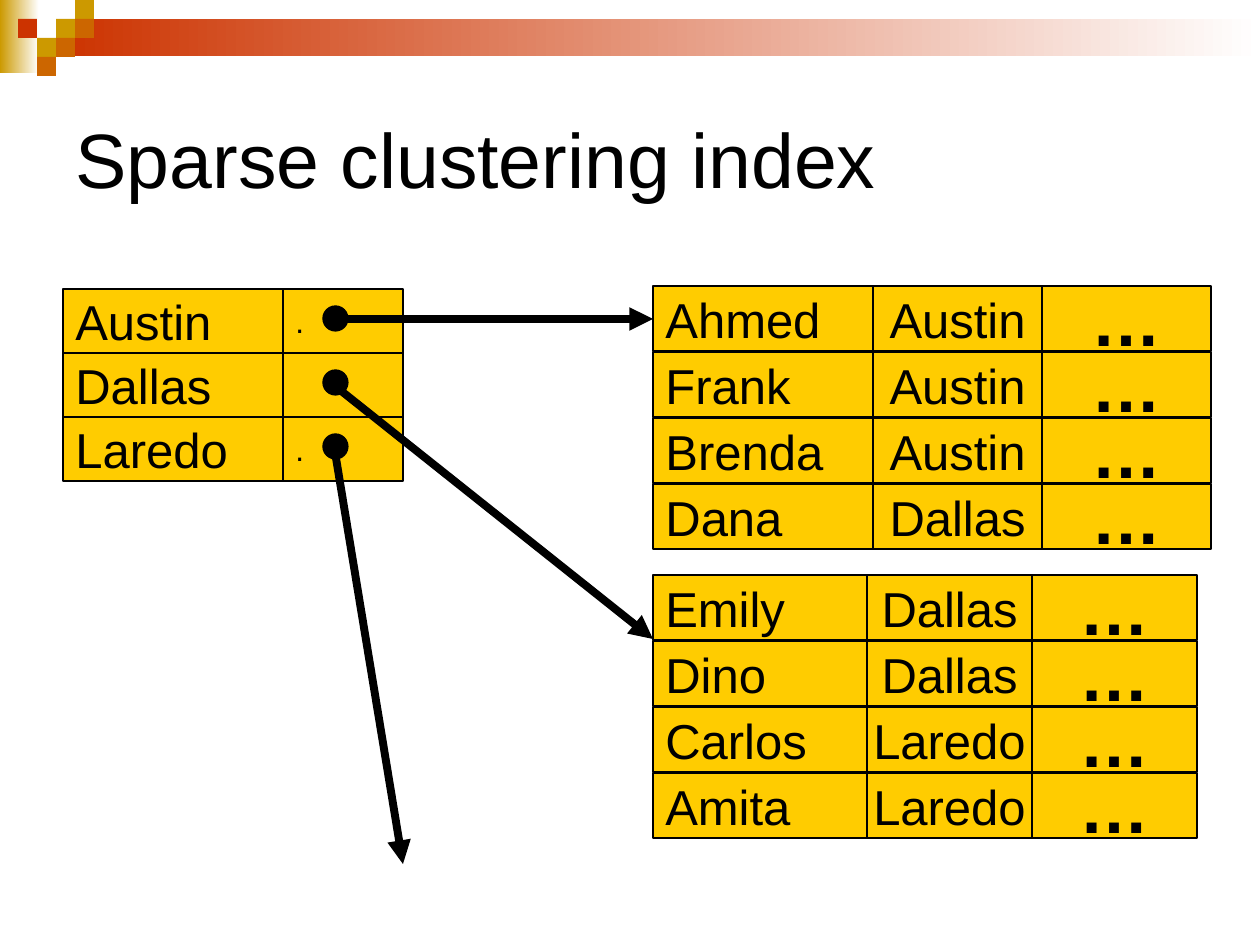
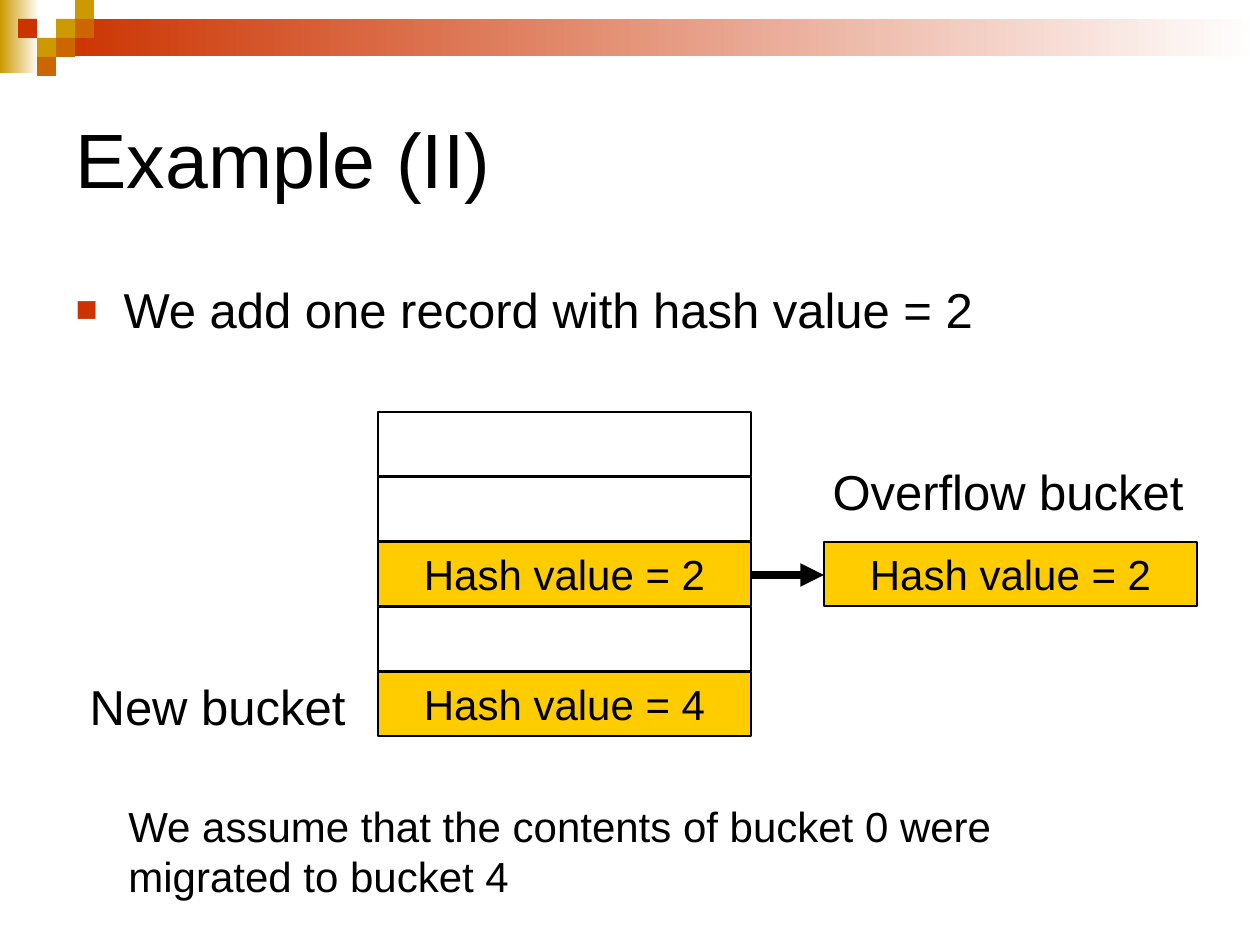
from lxml import etree
from pptx import Presentation, util as u
from pptx.dml.color import RGBColor
from pptx.enum import shapes, text
from pptx.oxml.ns import qn

SCALE = 914400 / 126  # EMU in one px
FONT = "Arial"
COLORS = {
    "black": "000000",
    "white": "FFFFFF",
    "cell": "FFCC00",
    "gold": "CC9900",
    "orange": "CC6600",
    "red": "CC3300",
}
LEFT, CENTER = text.PP_ALIGN.LEFT, text.PP_ALIGN.CENTER
RECT, OVAL = shapes.MSO_SHAPE.RECTANGLE, shapes.MSO_SHAPE.OVAL
TITLE_BOX = (63, 63, 1134, 189)

BODY_ONLY = {"word_wrap": True, "vertical_anchor": text.MSO_ANCHOR.TOP}
MIDDLE = {"word_wrap": True, "vertical_anchor": text.MSO_ANCHOR.MIDDLE}
TABLE_CELL = {**MIDDLE, "word_wrap": False}


def px(length):
    return u.Emu(round(length * SCALE))


def rgb(name):
    return RGBColor.from_string(COLORS[name])


def apply(target, values):
    for name, value in values.items():
        setattr(target, name, value)


def write(shape, words, size, align=LEFT, bold=False, frame=MIDDLE):
    """Fill a shape with one formatted paragraph and return the paragraph."""
    apply(shape.text_frame, {"auto_size": text.MSO_AUTO_SIZE.NONE, **frame})
    para = shape.text_frame.paragraphs[0]
    para.alignment = align
    span = para.add_run()
    span.text = words
    apply(span.font, {"name": FONT, "size": u.Pt(size), "bold": bold})
    span.font.color.rgb = rgb("black")
    return para


def add_box(page, box, fill=None, line=None, kind=RECT):
    shape = page.shapes.add_shape(kind, *map(px, box))
    shape.shadow.inherit = False
    if fill:
        shape.fill.solid()
        shape.fill.fore_color.rgb = rgb(fill)
    else:
        shape.fill.background()
    if line:
        shape.line.color.rgb = rgb("black")
        shape.line.width = u.Pt(line)
    else:
        shape.line.fill.background()
    return shape


def add_label(page, box, words, size, align=LEFT):
    label = page.shapes.add_textbox(*map(px, box))
    write(label, words, size, align, frame=BODY_ONLY)


def add_arrow(page, start, end):
    arrow = page.shapes.add_connector(
        shapes.MSO_CONNECTOR.STRAIGHT, *map(px, start + end))
    arrow.line.color.rgb = rgb("black")
    arrow.line.width = u.Pt(4.5)
    properties = arrow.element.spPr
    etree.SubElement(properties.find(qn("a:ln")), qn("a:tailEnd"), type="triangle")
    etree.SubElement(properties, qn("a:effectLst"))


def place_placeholder(holder, box, words, size, frame):
    apply(holder, dict(zip(("left", "top", "width", "height"), map(px, box))))
    return write(holder, words, size, frame=frame)


def add_page(deck, layout, title):
    page = deck.slides.add_slide(deck.slide_layouts[layout])
    place_placeholder(page.shapes.title, TITLE_BOX, title, 44, MIDDLE)
    return page


def decorate_master(deck, page):
    """Draw the fading bands and the mosaic, then hand them to the master."""
    parts = []
    for box, color in (((0, 0, 39, 73), "gold"), ((57, 19, 1203, 37), "red")):
        band = add_box(page, box, color)
        band.fill.gradient()
        band.fill.gradient_angle = 0
        for stop, name in zip(band.fill.gradient_stops, (color, "white")):
            stop.color.rgb = rgb(name)
        parts.append(band)
    # Mosaic tiles by column and row
    tiles = [(3, 1, "gold"), (4, 0, "gold"), (4, 1, "orange"), (2, 2, "gold"),
             (1, 1, "red"), (3, 2, "orange"), (2, 3, "orange")]
    for column, row, color in tiles:
        parts.append(add_box(page, (19 * column - 1, 19 * row, 19, 19), color))
    for part in parts:
        deck.slide_master.shapes.element.append(part.element)


def add_records(page, box, records):
    """Rows of name, city and an ellipsis; the name column is wider."""
    left, top, width, height = box
    pitch = height / len(records)
    city_width = round(width * 0.303)
    name_width = width - 2 * city_width
    for row, (name, city) in enumerate(records):
        y = top + row * pitch
        cells = [(left, name_width, name, 28, LEFT, False),
                 (left + name_width, city_width, city, 28, CENTER, False),
                 (left + name_width + city_width, city_width, "…", 40, CENTER, True)]
        for x, cell_width, words, size, align, bold in cells:
            cell = add_box(page, (x, y, cell_width, pitch - 1), "cell", 0.75)
            write(cell, words, size, align, bold, TABLE_CELL)


def add_index(page, box, entries):
    """Index rows, each with a pointer dot and an arrow to its target."""
    left, top, width, height = box
    pitch = height // len(entries)
    key_width, dot = 220, 25
    for row, (key, mark, _, _) in enumerate(entries):
        y = top + row * pitch
        key_cell = add_box(page, (left, y, key_width, pitch), "cell", 0.75)
        write(key_cell, key, 28, frame=TABLE_CELL)
        pointer = add_box(
            page, (left + key_width, y, width - key_width, pitch), "cell", 0.75)
        if mark:
            write(pointer, mark, 18, frame=TABLE_CELL)
        add_box(page, (left + 260, y + 17, dot, dot), "black", 0.75, OVAL)
    for _, _, start_y, target in entries:
        add_arrow(page, (left + 272, top + start_y), target)


def add_buckets(page, box, contents):
    """A stack of equal buckets; those with contents are filled."""
    left, top, width, height = box
    pitch = height // len(contents)
    for row, words in enumerate(contents):
        bucket = add_box(page, (left, top + row * pitch, width, pitch - 1),
                         "cell" if words else None, 1.5)
        if words:
            write(bucket, words, 24, CENTER)


def add_bullet(page, box, words):
    para = place_placeholder(page.placeholders[1], box, words, 28, BODY_ONLY)
    para.space_before = u.Pt(7)
    properties = para._p.get_or_add_pPr()
    indent = px(48)
    properties.set("marL", str(indent))
    properties.set("indent", str(-indent))
    color = etree.SubElement(properties, qn("a:buClr"))
    etree.SubElement(color, qn("a:srgbClr"), val=COLORS["red"])
    etree.SubElement(properties, qn("a:buSzPct"), val="75000")
    etree.SubElement(properties, qn("a:buFont"), typeface=FONT)
    etree.SubElement(properties, qn("a:buChar"), char="■")


def build_sparse_index(deck):
    page = add_page(deck, 5, "Sparse clustering index")
    decorate_master(deck, page)
    add_records(page, (653, 286, 558, 264), [
        ("Ahmed", "Austin"), ("Frank", "Austin"),
        ("Brenda", "Austin"), ("Dana", "Dallas")])
    add_records(page, (653, 575, 544, 264), [
        ("Emily", "Dallas"), ("Dino", "Dallas"),
        ("Carlos", "Laredo"), ("Amita", "Laredo")])
    add_index(page, (63, 289, 340, 192), [
        ("Austin", ".", 30, (653, 319)),
        ("Dallas", "", 97, (653, 639)),
        ("Laredo", ".", 163, (403, 864))])


def build_overflow_example(deck):
    page = add_page(deck, 1, "Example (II)")
    add_bullet(page, (63, 273, 1134, 139), "We add one record with hash value = 2")
    # Main buckets and the chained overflow bucket
    add_buckets(page, (378, 412, 373, 325),
                ["", "", "Hash value = 2", "", "Hash value = 4"])
    add_buckets(page, (824, 542, 373, 65), ["Hash value = 2"])
    add_arrow(page, (750, 575), (824, 575))
    # Captions
    add_label(page, (815, 455, 386, 72), "Overflow bucket", 28, CENTER)
    add_label(page, (70, 670, 295, 72), "New bucket", 28, CENTER)
    add_label(page, (116, 794, 1000, 113),
              "We assume that the contents of bucket 0 were migrated to bucket 4", 24)


def main():
    deck = Presentation()
    apply(deck, {"slide_width": px(1260), "slide_height": px(945)})
    build_sparse_index(deck)
    build_overflow_example(deck)
    deck.save("out.pptx")


if __name__ == "__main__":
    main()
